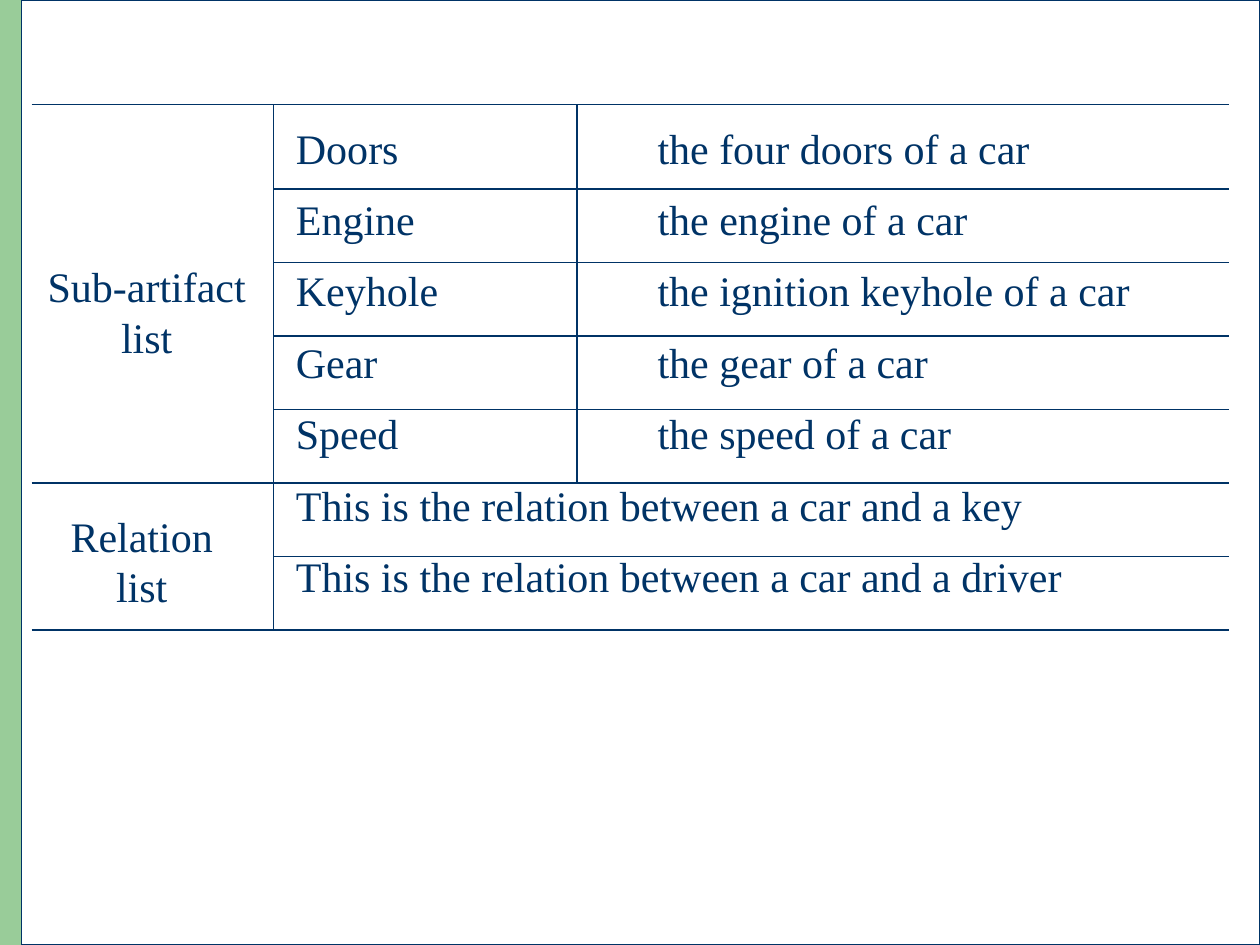
import pptx
import pptx.dml.color
import pptx.enum.shapes
import pptx.enum.text
import pptx.oxml.ns
import pptx.util
from lxml import etree

Inches, Pt = pptx.util.Inches, pptx.util.Pt
COLORS = {"ink": "003366", "paper": "FFFFFF", "sidebar": "99CC99"}
FONT = "Times New Roman"
WIDTH, HEIGHT = 10, 7.5

# Grid of the ruled table, in inches
LEFT, ITEM_COL, MEANING_COL, RIGHT = 0.25, 2.17, 4.58, 9.75
TOP, FIRST_RULE, ROW_HEIGHT = 0.83, 1.5, 3.5 / 6
MEANING_TAB = 2.87

SUB_ARTIFACTS = [
    ("Doors", "the four doors of a car"),
    ("Engine", "the engine of a car"),
    ("Keyhole", "the ignition keyhole of a car"),
    ("Gear", "the gear of a car"),
    ("Speed", "the speed of a car"),
]
RELATIONS = [
    "This is the relation between a car and a key",
    "This is the relation between a car and a driver",
]


def rgb(name):
    return pptx.dml.color.RGBColor.from_string(COLORS[name])


def add_panel(slide, left, width, fill, line=None):
    sp = slide.shapes.add_shape(
        pptx.enum.shapes.MSO_SHAPE.RECTANGLE,
        Inches(left), 0, Inches(width), Inches(HEIGHT))
    sp.shadow.inherit = False
    sp.fill.solid()
    sp.fill.fore_color.rgb = rgb(fill)
    if line:
        sp.line.color.rgb = rgb(line)
        sp.line.width = Pt(0.75)
    else:
        sp.line.fill.background()


def add_rule(slide, x1, y1, x2, y2):
    cxn = slide.shapes.add_connector(
        pptx.enum.shapes.MSO_CONNECTOR.STRAIGHT,
        Inches(x1), Inches(y1), Inches(x2), Inches(y2))
    cxn.line.color.rgb = rgb("ink")
    cxn.line.width = Pt(0.75)
    etree.SubElement(cxn._element.spPr, pptx.oxml.ns.qn("a:effectLst"))


def add_tab_stop(p, position):
    tabs = etree.SubElement(p._p.get_or_add_pPr(), pptx.oxml.ns.qn("a:tabLst"))
    etree.SubElement(tabs, pptx.oxml.ns.qn("a:tab"),
                     pos=str(Inches(position)), algn="l")


def add_text(slide, left, top, width, height, lines, centered=False, tab=None):
    box = slide.shapes.add_textbox(
        Inches(left), Inches(top), Inches(width), Inches(height))
    tf = box.text_frame
    tf.word_wrap = True
    tf.text = "\n".join(lines)
    align = pptx.enum.text.PP_ALIGN
    for i, p in enumerate(tf.paragraphs):
        p.alignment = align.CENTER if centered else align.LEFT
        p.space_before = Pt(12 if i else 0)
        if tab and "\t" in lines[i]:
            add_tab_stop(p, tab)
        for r in p.runs:
            r.font.name = FONT
            r.font.size = Pt(24)
            r.font.color.rgb = rgb("ink")


def add_grid(slide):
    rules = [TOP] + [FIRST_RULE + i * ROW_HEIGHT for i in range(7)]
    section_ends = (0, len(SUB_ARTIFACTS), len(rules) - 1)
    for i, y in enumerate(rules):
        add_rule(slide, LEFT if i in section_ends else ITEM_COL, y, RIGHT, y)
    add_rule(slide, ITEM_COL, TOP, ITEM_COL, rules[-1])
    add_rule(slide, MEANING_COL, TOP, MEANING_COL, rules[len(SUB_ARTIFACTS)])


def main():
    prs = pptx.Presentation()
    prs.slide_width, prs.slide_height = Inches(WIDTH), Inches(HEIGHT)
    slide = prs.slides.add_slide(prs.slide_layouts[6])
    add_panel(slide, 0, 0.81, "sidebar")
    add_panel(slide, 0.17, WIDTH - 0.17, "paper", line="ink")
    add_grid(slide)
    entries = ["\t".join(pair) for pair in SUB_ARTIFACTS] + RELATIONS
    add_text(slide, 2.25, 0.92, 7.42, 4.09, entries, tab=MEANING_TAB)
    add_text(slide, LEFT, 2.02, 1.83, 0.9, ["Sub-artifact list"], centered=True)
    add_text(slide, LEFT, 4, 1.75, 0.9, ["Relation list"], centered=True)
    prs.save("out.pptx")


if __name__ == "__main__":
    main()
